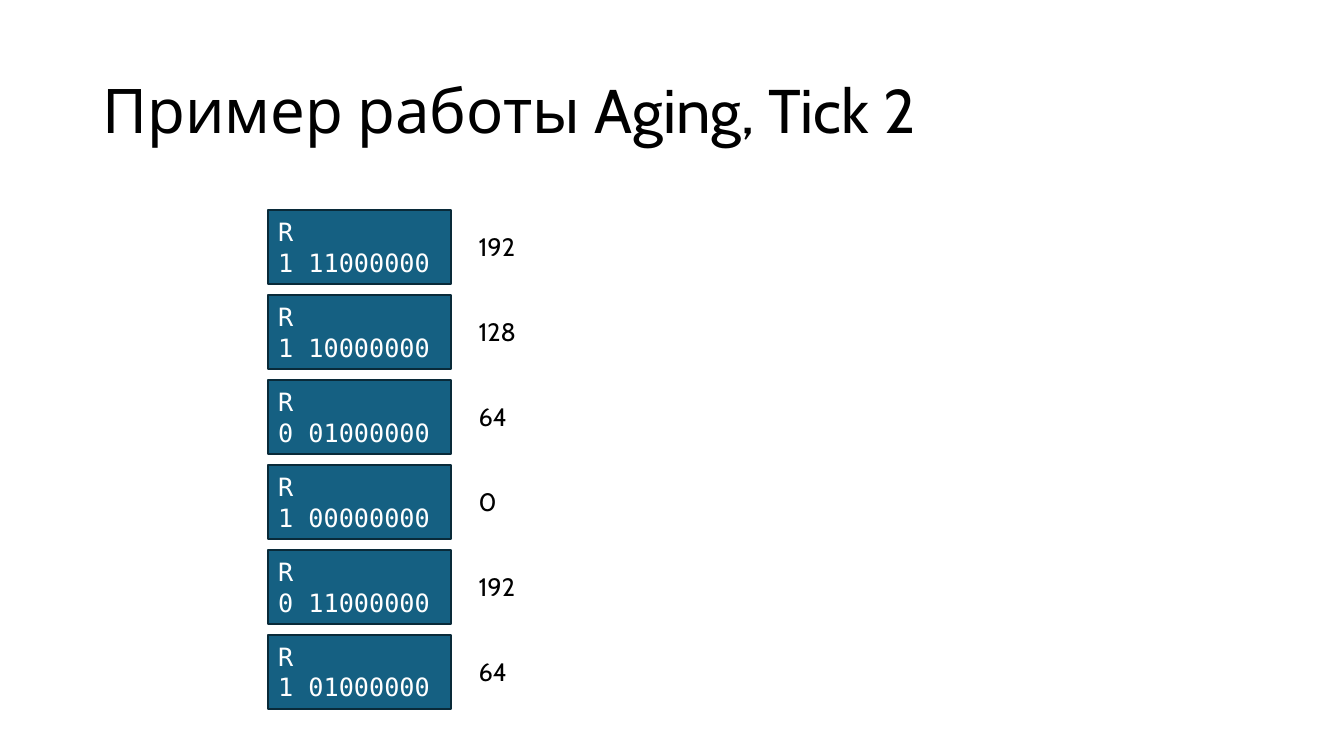
from dataclasses import dataclass

from pptx import Presentation
from pptx.dml.color import RGBColor
from pptx.enum.shapes import MSO_SHAPE
from pptx.enum.text import MSO_ANCHOR, PP_ALIGN
from pptx.util import Cm, Pt

RECTANGLE = MSO_SHAPE.RECTANGLE
MIDDLE = MSO_ANCHOR.MIDDLE
LEFT = PP_ALIGN.LEFT


@dataclass(frozen=True)
class Theme:
    text: RGBColor = RGBColor(0x00, 0x00, 0x00)
    counter_text: RGBColor = RGBColor(0xFF, 0xFF, 0xFF)
    counter_fill: RGBColor = RGBColor(0x15, 0x60, 0x82)
    counter_line: RGBColor = RGBColor(0x09, 0x2A, 0x39)
    text_font: str = "Cabin"
    bits_font: str = "DejaVu Sans Mono"
    title_size: Pt = Pt(44)
    body_size: Pt = Pt(18)
    line_width: Pt = Pt(1.5)


THEME = Theme()

PAGES = [
    ("1", "11000000"),
    ("1", "10000000"),
    ("0", "01000000"),
    ("1", "00000000"),
    ("0", "11000000"),
    ("1", "01000000"),
]


def write_text(shape, text, font_name, size, color):
    text_frame = shape.text_frame
    text_frame.word_wrap = True
    text_frame.vertical_anchor = MIDDLE
    text_frame.text = text
    for paragraph in text_frame.paragraphs:
        paragraph.alignment = LEFT
        for run in paragraph.runs:
            run.font.name = font_name
            run.font.size = size
            run.font.color.rgb = color


def add_title(slide, text, left, top, width, height):
    title = slide.shapes.add_textbox(left, top, width, height)
    write_text(title, text, THEME.text_font, THEME.title_size, THEME.text)
    title.text_frame.paragraphs[0].line_spacing = 0.9


def add_page(slide, reference_bit, bits, left, top, width, height):
    counter = slide.shapes.add_shape(RECTANGLE, left, top, width, height)
    counter.shadow.inherit = False
    counter.fill.solid()
    counter.fill.fore_color.rgb = THEME.counter_fill
    counter.line.color.rgb = THEME.counter_line
    counter.line.width = THEME.line_width
    write_text(counter, f"R\n{reference_bit} {bits}", THEME.bits_font,
               THEME.body_size, THEME.counter_text)

    value_height = Cm(1.02)
    value = slide.shapes.add_textbox(
        left + width + Cm(0.45), top + (height - value_height) // 2,
        Cm(3.2), value_height)
    write_text(value, str(int(bits, 2)), THEME.text_font,
               THEME.body_size, THEME.text)


def add_page_list(slide, pages, left, top, width, height):
    gap = Cm(0.28)
    page_height = (height - gap * (len(pages) - 1)) // len(pages)
    for index, (reference_bit, bits) in enumerate(pages):
        add_page(slide, reference_bit, bits, left,
                 top + index * (page_height + gap), width, page_height)


def main():
    presentation = Presentation()
    presentation.slide_width = Cm(33.87)
    presentation.slide_height = Cm(19.05)
    slide = presentation.slides.add_slide(presentation.slide_layouts[6])
    add_title(slide, "Пример работы Aging, Tick 2",
              Cm(2.33), Cm(1.01), Cm(29.21), Cm(3.68))
    add_page_list(slide, PAGES, Cm(6.76), Cm(5.29), Cm(4.6), Cm(12.57))
    presentation.save("out.pptx")


if __name__ == "__main__":
    main()
